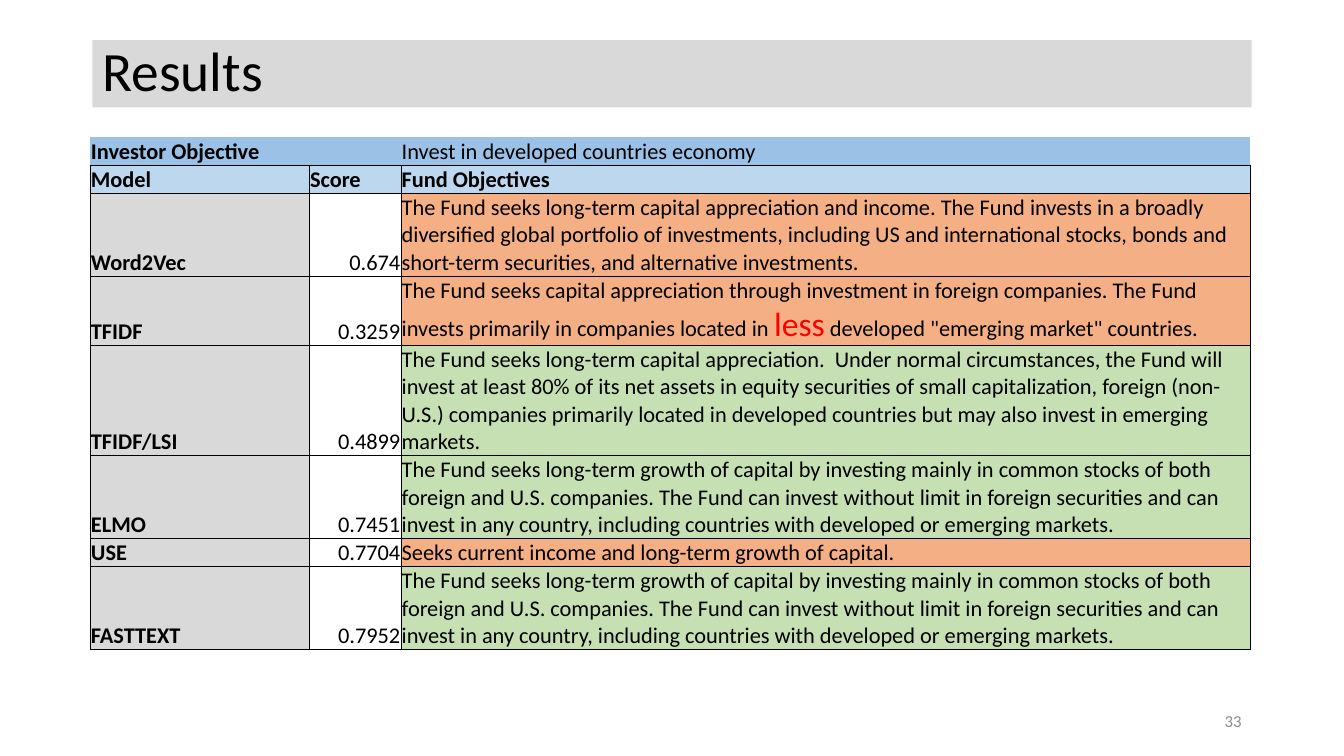
from lxml import etree
from pptx import Presentation
from pptx.dml.color import RGBColor
from pptx.enum.text import MSO_ANCHOR, PP_ALIGN
from pptx.oxml.ns import qn
from pptx.util import Pt

LEFT, RIGHT = PP_ALIGN.LEFT, PP_ALIGN.RIGHT
MIDDLE, BOTTOM = MSO_ANCHOR.MIDDLE, MSO_ANCHOR.BOTTOM

FONT = "Calibri"
BLACK, RED, WHITE, GRAY = "000000", "FF0000", "FFFFFF", "D9D9D9"
DARK_BLUE, LIGHT_BLUE = "9BC2E6", "BDD7EE"
ORANGE, GREEN = "F4B084", "C6E0B4"

COL_WIDTHS = [156.5, 65.5, 606.5]
ROW_HEIGHTS = [20, 20, 59, 49.5, 78.5, 59, 20, 59]

GROWTH = (
    "The Fund seeks long-term growth of capital by investing mainly in common "
    "stocks of both foreign and U.S. companies. The Fund can invest without limit "
    "in foreign securities and can invest in any country, including countries with "
    "developed or emerging markets."
)

# Model, score, fund objective, fill of the objective
RESULTS = [
    ("Word2Vec", "0.674",
     "The Fund seeks long-term capital appreciation and income. The Fund invests in "
     "a broadly diversified global portfolio of investments, including US and "
     "international stocks, bonds and short-term securities, and alternative "
     "investments.", ORANGE),
    ("TFIDF", "0.3259",
     [("The Fund seeks capital appreciation through investment in foreign companies. "
       "The Fund invests primarily in companies located in ", 16, BLACK),
      ("less", 24, RED),
      (' developed "emerging market" countries.', 16, BLACK)], ORANGE),
    ("TFIDF/LSI", "0.4899",
     "The Fund seeks long-term capital appreciation.  Under normal circumstances, "
     "the Fund will invest at least 80% of its net assets in equity securities of "
     "small capitalization, foreign (non-U.S.) companies primarily located in "
     "developed countries but may also invest in emerging markets.", GREEN),
    ("ELMO", "0.7451", GROWTH, GREEN),
    ("USE", "0.7704", "Seeks current income and long-term growth of capital.", ORANGE),
    ("FASTTEXT", "0.7952", GROWTH, GREEN),
]


def rgb(color):
    return RGBColor.from_string(color)


def add_run(p, text, size, color=BLACK, bold=False):
    r = p.add_run()
    r.text = text
    r.font.name, r.font.size, r.font.bold = FONT, Pt(size), bold
    r.font.color.rgb = rgb(color)


def set_borders(cell, visible):
    """Draw the named sides in thin black and leave the others open."""
    tc_pr = cell._tc.get_or_add_tcPr()
    for i, side in enumerate(("lnL", "lnR", "lnT", "lnB")):
        ln = etree.Element(qn(f"a:{side}"), w=str(Pt(0.5)))
        if side in visible:
            fill = etree.SubElement(ln, qn("a:solidFill"))
            etree.SubElement(fill, qn("a:srgbClr"), val=BLACK)
        else:
            etree.SubElement(ln, qn("a:noFill"))
        tc_pr.insert(i, ln)


def fill_cell(cell, content, fill, bold=False, align=LEFT,
              borders=("lnL", "lnR", "lnT", "lnB")):
    cell.margin_left = cell.margin_right = cell.margin_top = Pt(0.5)
    cell.margin_bottom = 0
    cell.vertical_anchor = BOTTOM
    cell.fill.solid()
    cell.fill.fore_color.rgb = rgb(fill)
    set_borders(cell, borders)
    p = cell.text_frame.paragraphs[0]
    p.alignment = align
    if not content:
        # Keeps an empty cell as low as its row
        etree.SubElement(p._p, qn("a:endParaRPr"), sz="1600")
    elif isinstance(content, str):
        add_run(p, content, 16, bold=bold)
    else:
        for text, size, color in content:
            add_run(p, text, size, color, bold)


def add_title(s, text):
    title = s.shapes.title
    title.left, title.top, title.width, title.height = Pt(66), Pt(28.7), Pt(828), Pt(48)
    title.fill.solid()
    title.fill.fore_color.rgb = rgb(GRAY)
    tf = title.text_frame
    tf.vertical_anchor = MIDDLE
    p = tf.paragraphs[0]
    p.alignment, p.line_spacing = LEFT, 0.9
    add_run(p, text, 39.6)


def add_results_table(s):
    frame = s.shapes.add_table(len(ROW_HEIGHTS), len(COL_WIDTHS), Pt(64.5), Pt(97.9),
                               Pt(sum(COL_WIDTHS)), Pt(sum(ROW_HEIGHTS)))
    table = frame.table
    table.first_row = table.horz_banding = False
    for column, width in zip(table.columns, COL_WIDTHS):
        column.width = Pt(width)
    for row, height in zip(table.rows, ROW_HEIGHTS):
        row.height = Pt(height)

    # Objective and column headings
    objective = ("Investor Objective", "", "Invest in developed countries economy")
    headings = ("Model", "Score", "Fund Objectives")
    for col in range(len(COL_WIDTHS)):
        fill_cell(table.cell(0, col), objective[col], DARK_BLUE, bold=col == 0,
                  borders=("lnB",))
        fill_cell(table.cell(1, col), headings[col], LIGHT_BLUE, bold=True)

    # One row per model
    for row, (model, score, fund, fill) in enumerate(RESULTS, start=2):
        fill_cell(table.cell(row, 0), model, GRAY, bold=True)
        fill_cell(table.cell(row, 1), score, WHITE, align=RIGHT)
        fill_cell(table.cell(row, 2), fund, fill)


def add_page_number(s, number):
    box = s.shapes.add_textbox(Pt(678), Pt(500.5), Pt(216), Pt(28.75))
    tf = box.text_frame
    tf.word_wrap = True
    tf.vertical_anchor = MIDDLE
    p = tf.paragraphs[0]
    p.alignment = RIGHT
    add_run(p, number, 12, "8C8C8C")


def main():
    prs = Presentation()
    prs.slide_width, prs.slide_height = Pt(960), Pt(540)
    s = prs.slides.add_slide(prs.slide_layouts[5])
    add_title(s, "Results")
    add_results_table(s)
    add_page_number(s, "33")
    prs.save("out.pptx")


if __name__ == "__main__":
    main()
